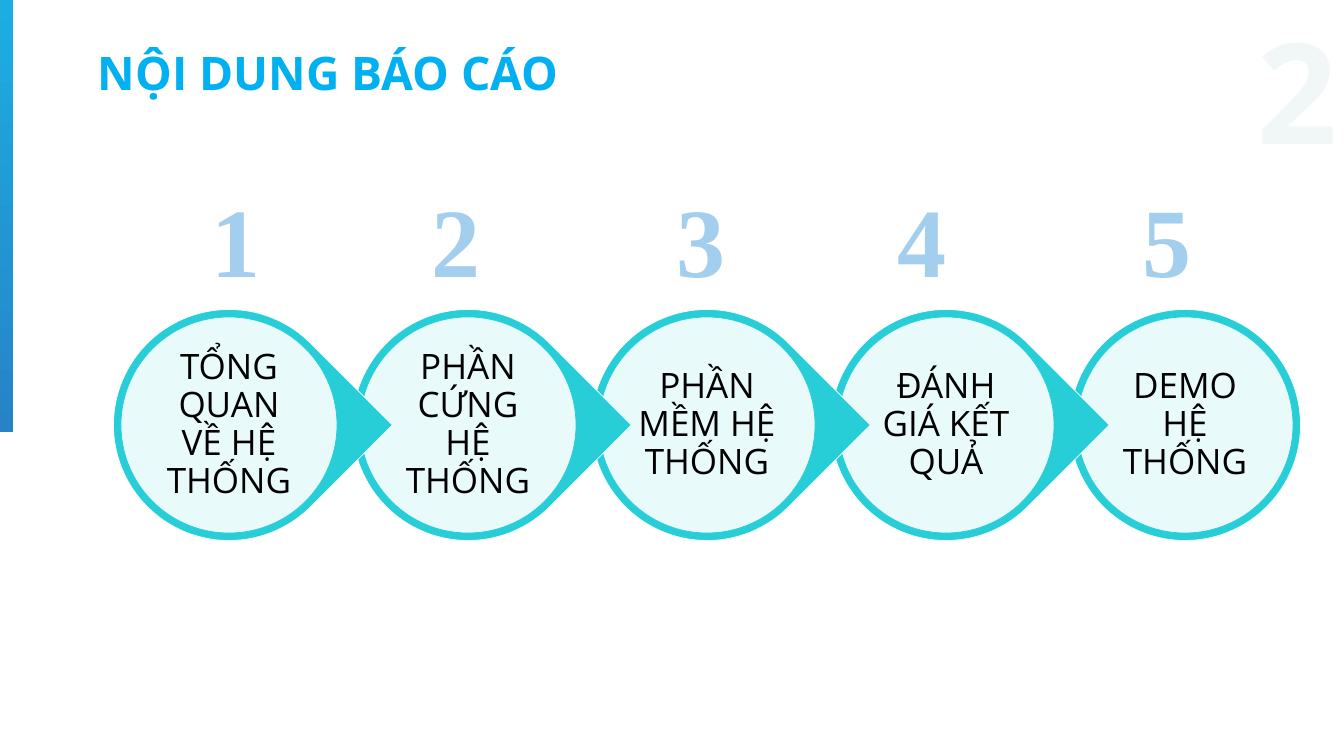
from lxml.etree import SubElement
from pptx import Presentation
from pptx.dml.color import RGBColor
from pptx.enum.shapes import MSO_SHAPE
from pptx.enum.text import MSO_ANCHOR, PP_ALIGN
from pptx.oxml import parse_xml
from pptx.oxml.ns import qn
from pptx.util import Pt

# Content
TITLE = "NỘI DUNG BÁO CÁO"
PAGE_NUMBER = "2"
STEPS = [
    "TỔNG QUAN VỀ HỆ THỐNG",
    "PHẦN CỨNG HỆ THỐNG",
    "PHẦN MỀM HỆ THỐNG",
    "ĐÁNH GIÁ KẾT QUẢ",
    "DEMO HỆ THỐNG",
]
NUMERAL_STOPS = [25, 245, 490, 711, 956]

# Format values
TEAL, WHITE, BLUE = "27CED7", "FFFFFF", "2683C6"
TITLE_FONT = {"name": "Open Sans", "size": Pt(66), "bold": True}
PAGE_FONT = {"name": "Open Sans", "size": Pt(200), "bold": True}
STEP_FONT = {"name": "Open Sans", "size": Pt(50)}
NUMERAL_FONT = {"name": "Times New Roman", "size": Pt(140), "bold": True}
LINE_SPACING = 0.9

# Layout in px
SLIDE_W, SLIDE_H = 1344, 756
PITCH = 239
CENTER_X, CENTER_Y = 229, 425
OUTER, INNER, LABEL = 231, 216, 154
A = "http://schemas.openxmlformats.org/drawingml/2006/main"


def px(n):
    return round(n * 914400 / 50.4)


def rgb(value):
    return RGBColor.from_string(value)


def add_form(parent, kind, box, fill=None, line=None):
    form = parent.add_shape(kind, *map(px, box))
    form.shadow.inherit = False
    if fill:
        form.fill.solid()
        form.fill.fore_color.rgb = rgb(fill)
    if line:
        form.line.color.rgb = rgb(line)
        form.line.width = Pt(1)
    else:
        form.line.fill.background()
    return form


def add_text(parent, box, text, font, color, inset=None, spacing=None,
             align=PP_ALIGN.LEFT, anchor=MSO_ANCHOR.TOP, wrap=True):
    frame = parent.add_textbox(*map(px, box)).text_frame
    settings = {"word_wrap": wrap, "vertical_anchor": anchor}
    if inset is not None:
        for side in ("left", "top", "right", "bottom"):
            settings[f"margin_{side}"] = px(inset)
    for key, value in settings.items():
        setattr(frame, key, value)
    paragraph = frame.paragraphs[0]
    paragraph.alignment = align
    paragraph.line_spacing = spacing
    run = paragraph.add_run()
    run.text = text
    for key, value in font.items():
        setattr(run.font, key, value)
    run.font.color.rgb = rgb(color)
    return paragraph


def centered(x, size):
    return x - size / 2, CENTER_Y - size / 2, size, size


def add_step(parent, index, text):
    x = CENTER_X + index * PITCH
    last = index == len(STEPS) - 1
    outer_kind = MSO_SHAPE.OVAL if last else MSO_SHAPE.TEAR
    outer = add_form(parent, outer_kind, centered(x, OUTER), TEAL, WHITE)
    outer.rotation = 0 if last else 45
    inner = add_form(parent, MSO_SHAPE.OVAL, centered(x, INNER), WHITE, TEAL)
    tint = inner.fill._xPr.find(qn("a:solidFill"))[0]
    SubElement(tint, qn("a:alpha"), val="90000")
    add_text(parent, centered(x, LABEL), text, STEP_FONT, "000000", inset=4,
             spacing=LINE_SPACING, align=PP_ALIGN.CENTER, anchor=MSO_ANCHOR.MIDDLE)


def add_numerals(parent):
    text = "".join(f"\t{n}" for n in range(1, len(STEPS) + 1))
    paragraph = add_text(parent, (182, 177, 1136, 124), text, NUMERAL_FONT, "A3CEED")
    tabs = SubElement(paragraph._p.get_or_add_pPr(), qn("a:tabLst"))
    for stop in NUMERAL_STOPS:
        SubElement(tabs, qn("a:tab"), pos=str(px(stop)), algn="l")
    outline = parse_xml(
        f'<a:ln xmlns:a="{A}" w="{Pt(1.75)}"><a:solidFill>'
        f'<a:srgbClr val="{BLUE}"/></a:solidFill></a:ln>')
    paragraph.runs[0].font._element.insert(0, outline)


def main():
    deck = Presentation()
    deck.slide_width, deck.slide_height = px(SLIDE_W), px(SLIDE_H)
    shapes = deck.slides.add_slide(deck.slide_layouts[6]).shapes

    # Side bar
    bar = add_form(shapes, MSO_SHAPE.RECTANGLE, (0, 0, 13, 432))
    bar.fill.gradient()
    bar.fill.gradient_angle = 270
    for stop, color, position in zip(bar.fill.gradient_stops, ("1CADE4", BLUE), (0, 1)):
        stop.color.rgb = rgb(color)
        stop.position = position

    # Page number
    add_text(shapes, (1258, 5, 80, 191), PAGE_NUMBER, PAGE_FONT, "F1F7F7",
             inset=0, wrap=False)

    # Chain of steps, the rightmost at the back
    chain = shapes.add_group_shape().shapes
    for index, text in reversed(list(enumerate(STEPS))):
        add_step(chain, index, text)

    # Title and numerals
    add_text(shapes, (93, 48, 1159, 68), TITLE, TITLE_FONT, "00B0F0",
             spacing=LINE_SPACING)
    add_numerals(shapes)
    deck.save("out.pptx")


if __name__ == "__main__":
    main()
